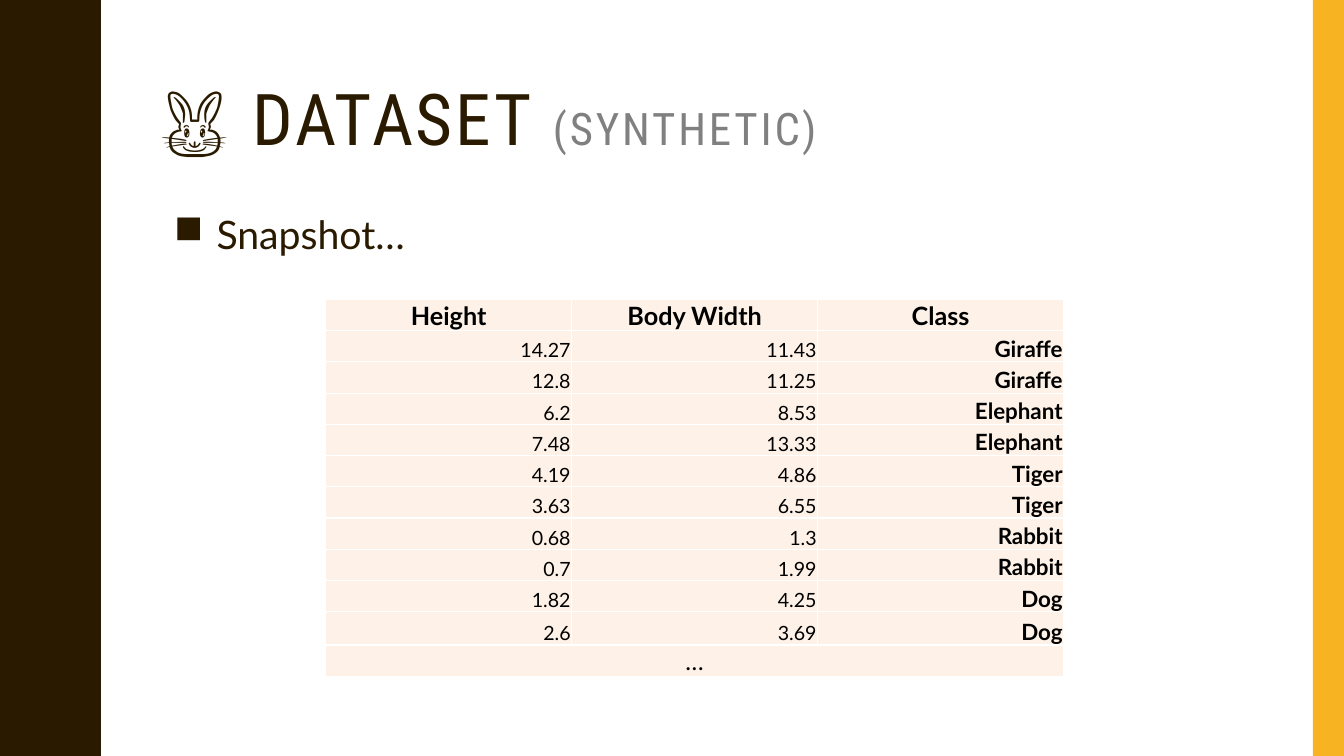
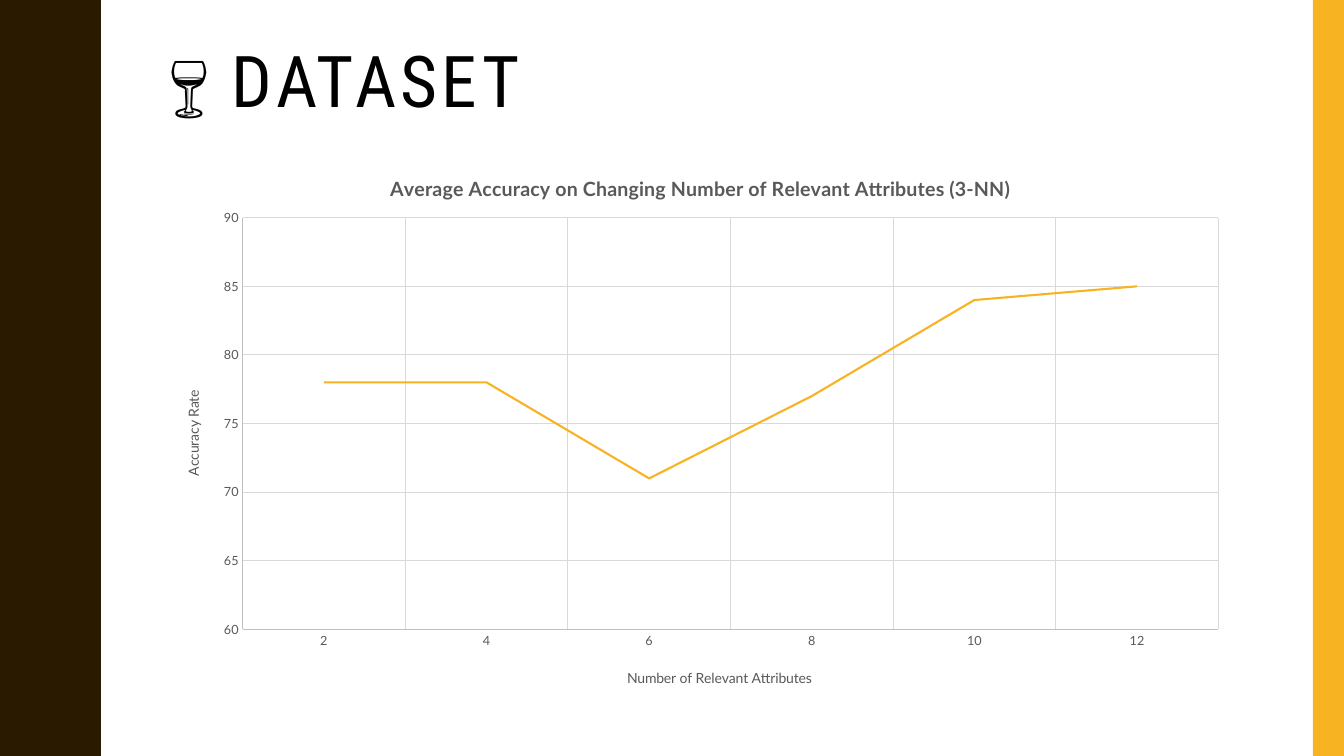
import pptx
import pptx.chart.data
import pptx.dml.color
import pptx.enum.chart
import pptx.enum.shapes
import pptx.enum.text
import pptx.oxml
import pptx.oxml.ns
import pptx.util

Inches, Pt = pptx.util.Inches, pptx.util.Pt
RGBColor = pptx.dml.color.RGBColor
ALIGN = pptx.enum.text.PP_ALIGN
qn = pptx.oxml.ns.qn

BROWN = RGBColor(0x2A, 0x1A, 0x00)
GOLD = RGBColor(0xF8, 0xB3, 0x23)
GRAY = RGBColor(0x80, 0x80, 0x80)
BLACK = RGBColor(0x00, 0x00, 0x00)
WHITE = RGBColor(0xFF, 0xFF, 0xFF)
CREAM = RGBColor(0xFE, 0xF2, 0xE8)
CHART_TEXT = RGBColor(0x59, 0x59, 0x59)
AXIS_LINE = RGBColor(0xBF, 0xBF, 0xBF)
GRID_LINE = RGBColor(0xD9, 0xD9, 0xD9)

HEAD_FONT, BODY_FONT = "Roboto Condensed", "Lato"
SLIDE_W, SLIDE_H = 13.33, 7.5
STRIPE_W = 0.31

WAVE_LENGTH = 1.5
# Rising half of one wave as (x, y); the falling half mirrors it.
WAVE_RISE = [(0.78, 0), (0.78, 0.07), (0.79, 0.14), (0.8, 0.2), (0.81, 0.25),
             (0.83, 0.29), (0.87, 0.38), (0.91, 0.46), (0.93, 0.5),
             (0.95, 0.55), (0.96, 0.61), (0.97, 0.68), (0.97, 0.75)]

ANIMALS = [
    ("14.27", "11.43", "Giraffe"), ("12.8", "11.25", "Giraffe"),
    ("6.2", "8.53", "Elephant"), ("7.48", "13.33", "Elephant"),
    ("4.19", "4.86", "Tiger"), ("3.63", "6.55", "Tiger"),
    ("0.68", "1.3", "Rabbit"), ("0.7", "1.99", "Rabbit"),
    ("1.82", "4.25", "Dog"), ("2.6", "3.69", "Dog"),
]
ACCURACY = {"2": 78, "4": 78, "6": 71, "8": 77, "10": 84, "12": 85}


def box(left, top, width, height):
    """Turn a frame in inches into lengths."""
    return [Inches(side) for side in (left, top, width, height)]


def style_font(font, size, color, name=BODY_FONT, bold=False):
    """Set the look of a font."""
    font.name, font.size, font.bold = name, Pt(size), bold
    font.color.rgb = color


def paint(shape, color):
    """Give a shape a flat fill without outline or shadow."""
    shape.shadow.inherit = False
    shape.fill.solid()
    shape.fill.fore_color.rgb = color
    shape.line.fill.background()


def add_edges(slide):
    """Draw the wavy band on the left and the stripe on the right."""
    fall = [(x, WAVE_LENGTH - y) for x, y in reversed(WAVE_RISE[:-1])]
    waves = round(SLIDE_H / WAVE_LENGTH)
    edge = [(x, y + wave * WAVE_LENGTH)
            for wave in range(waves) for x, y in WAVE_RISE + fall]
    builder = slide.shapes.build_freeform(0, 0, scale=Inches(1))
    builder.add_line_segments(edge + [(0, SLIDE_H)], close=True)
    paint(builder.convert_to_shape(), BROWN)
    stripe = slide.shapes.add_shape(
        pptx.enum.shapes.MSO_SHAPE.RECTANGLE,
        *box(SLIDE_W - STRIPE_W, 0, STRIPE_W, SLIDE_H))
    paint(stripe, GOLD)


def add_titled_slide(prs, frame, parts, tracking, line_spacing):
    """Add a slide with edges and a title of (text, size, colour, font) parts."""
    slide = prs.slides.add_slide(prs.slide_layouts[5])
    add_edges(slide)
    title = slide.shapes.title
    title.left, title.top, title.width, title.height = box(*frame)
    text = title.text_frame
    text.word_wrap = True
    text.auto_size = pptx.enum.text.MSO_AUTO_SIZE.NONE
    text.vertical_anchor = pptx.enum.text.MSO_ANCHOR.TOP
    heading = text.paragraphs[0]
    heading.alignment = ALIGN.LEFT
    heading.line_spacing = line_spacing
    for words, size, color, name in parts:
        run = heading.add_run()
        run.text = words
        style_font(run.font, size, color, name)
        run._r.get_or_add_rPr().set("spc", str(tracking * 100))
    return slide


def add_bullet(slide, frame, words):
    """Add a text box with one square-bulleted line."""
    text = slide.shapes.add_textbox(*box(*frame)).text_frame
    text.word_wrap = True
    bullet = text.paragraphs[0]
    bullet.text = words
    bullet.line_spacing = 0.94
    bullet.space_before, bullet.space_after = Pt(10), Pt(2)
    style_font(bullet.font, 28, BROWN)
    props = bullet._p.get_or_add_pPr()
    indent = Inches(0.42)
    props.set("marL", str(indent))
    props.set("indent", str(-indent))
    mark = pptx.oxml.parse_xml(
        '<a:buChar %s char="■"/>' % pptx.oxml.ns.nsdecls("a"))
    props.find(qn("a:defRPr")).addprevious(mark)


def fill_cell(cell, words, align, size, bold=False, name=BODY_FONT):
    """Write and format one table cell with thin white borders."""
    cell.margin_left = cell.margin_right = cell.margin_top = Inches(0.01)
    cell.margin_bottom = 0
    cell.vertical_anchor = pptx.enum.text.MSO_ANCHOR.BOTTOM
    cell.fill.solid()
    cell.fill.fore_color.rgb = CREAM
    entry = cell.text_frame.paragraphs[0]
    entry.text = words
    entry.alignment = align
    style_font(entry.font, size, BLACK, name, bold)
    props = cell._tc.get_or_add_tcPr()
    for index, side in enumerate("LRTB"):
        props.insert(index, pptx.oxml.parse_xml(
            '<a:ln%s %s w="%d"><a:solidFill><a:srgbClr val="%s"/></a:solidFill>'
            '</a:ln%s>' % (side, pptx.oxml.ns.nsdecls("a"), Pt(1), WHITE, side)))


def add_snapshot_table(slide, left, top, column_w, row_h, headers, rows):
    """Add the sample table, closed by a merged row with an ellipsis."""
    count, last = len(headers), len(rows) + 1
    table = slide.shapes.add_table(
        last + 1, count,
        *box(left, top, column_w * count, row_h * (last + 1))).table
    table.first_row = table.horz_banding = False
    for column in table.columns:
        column.width = Inches(column_w)
    for row in table.rows:
        row.height = Inches(row_h)
    table.rows[last - 1].height = Inches(row_h + 0.02)
    for col, header in enumerate(headers):
        fill_cell(table.cell(0, col), header, ALIGN.CENTER, 18, True)
        fill_cell(table.cell(last, col), "" if col else "…",
                  ALIGN.CENTER, 18, name="Calibri")
    for number, values in enumerate(rows, 1):
        for col, value in enumerate(values):
            is_class = col == count - 1
            fill_cell(table.cell(number, col), value, ALIGN.RIGHT,
                      16 if is_class else 14, is_class)
    table.cell(last, 0).merge(table.cell(last, count - 1))


def place(element, target=None, **shares):
    """Fix a chart part at shares of the chart's size."""
    layout = element.find(qn("c:layout"))
    if layout is None:
        layout = pptx.oxml.parse_xml(
            "<c:layout %s/>" % pptx.oxml.ns.nsdecls("c"))
        element.insert(0, layout)
    settings = [("layoutTarget", target)] if target else []
    settings += [("xMode", "edge"), ("yMode", "edge"), *shares.items()]
    layout.append(pptx.oxml.parse_xml(
        "<c:manualLayout %s>%s</c:manualLayout>" % (
            pptx.oxml.ns.nsdecls("c"),
            "".join('<c:%s val="%s"/>' % pair for pair in settings))))


def write_chart_title(title, words, size, bold, x, y):
    """Write and place the title of a chart or an axis."""
    line = title.text_frame.paragraphs[0]
    line.text = words
    style_font(line.font, size, CHART_TEXT, bold=bold)
    place(title._element, x=x, y=y)


def format_axis(axis, words, x, y):
    """Format an axis, its grid lines and its title."""
    tick = pptx.enum.chart.XL_TICK_MARK.NONE
    axis.major_tick_mark = axis.minor_tick_mark = tick
    style_font(axis.tick_labels.font, 9, CHART_TEXT)
    axis.has_major_gridlines = True
    for line, color in ((axis.format.line, AXIS_LINE),
                        (axis.major_gridlines.format.line, GRID_LINE)):
        line.color.rgb = color
        line.width = Pt(0.75)
    write_chart_title(axis.axis_title, words, 10, False, x, y)


def add_accuracy_chart(slide, frame, accuracy):
    """Add the line chart of accuracy by number of attributes."""
    data = pptx.chart.data.CategoryChartData()
    data.categories = list(accuracy)
    data.add_series("Series 1", list(accuracy.values()))
    chart = slide.shapes.add_chart(
        pptx.enum.chart.XL_CHART_TYPE.LINE, *box(*frame), data).chart
    style_font(chart.font, 10, BLACK)
    chart.has_legend = False
    write_chart_title(
        chart.chart_title,
        "Average Accuracy on Changing Number of Relevant Attributes (3-NN)",
        14, True, 0.21, 0.04)
    format_axis(chart.category_axis, "Number of Relevant Attributes", 0.43, 0.93)
    rate = chart.value_axis
    format_axis(rate, "Accuracy Rate", 0.02, 0.43)
    rate.axis_title.text_frame._txBody.bodyPr.set("rot", "-5400000")
    rate.minimum_scale, rate.maximum_scale, rate.major_unit = 60, 90, 5
    rate.tick_labels.number_format = "General"
    rate.tick_labels.number_format_is_linked = False
    chart.plots[0].vary_by_categories = False
    series = chart.plots[0].series[0]
    series.smooth = False
    series.marker.style = pptx.enum.chart.XL_MARKER_STYLE.NONE
    series.format.line.color.rgb = GOLD
    series.format.line.width = Pt(1.5)
    place(chart._chartSpace.chart.plotArea, "inner",
          x=0.077, y=0.125, w=0.902, h=0.74)


def main():
    """Build both slides and save them."""
    prs = pptx.Presentation()
    prs.slide_width, prs.slide_height = Inches(SLIDE_W), Inches(SLIDE_H)

    animals = add_titled_slide(
        prs, (1.48, 0.78, 10.5, 1.62),
        [("🐰 DATASET ", 51, BROWN, HEAD_FONT),
         ("(SYNTHETIC)", 32, GRAY, HEAD_FONT)], 2, 0.9)
    add_snapshot_table(animals, 3.23, 2.97, 2.44, 0.31,
                       ("Height", "Body Width", "Class"), ANIMALS)
    add_bullet(animals, (1.63, 2.07, 10.5, 3.92), "Snapshot…")

    wine = add_titled_slide(
        prs, (1.58, 0.31, 10.1, 0.96),
        [("🍷", 44, BLACK, BODY_FONT), (" ", 40, BLACK, BODY_FONT),
         ("DATASET", 51, BLACK, HEAD_FONT)], 3, 1.0)
    add_accuracy_chart(wine, (1.58, 1.47, 10.73, 5.52), ACCURACY)

    prs.save("out.pptx")


main()
